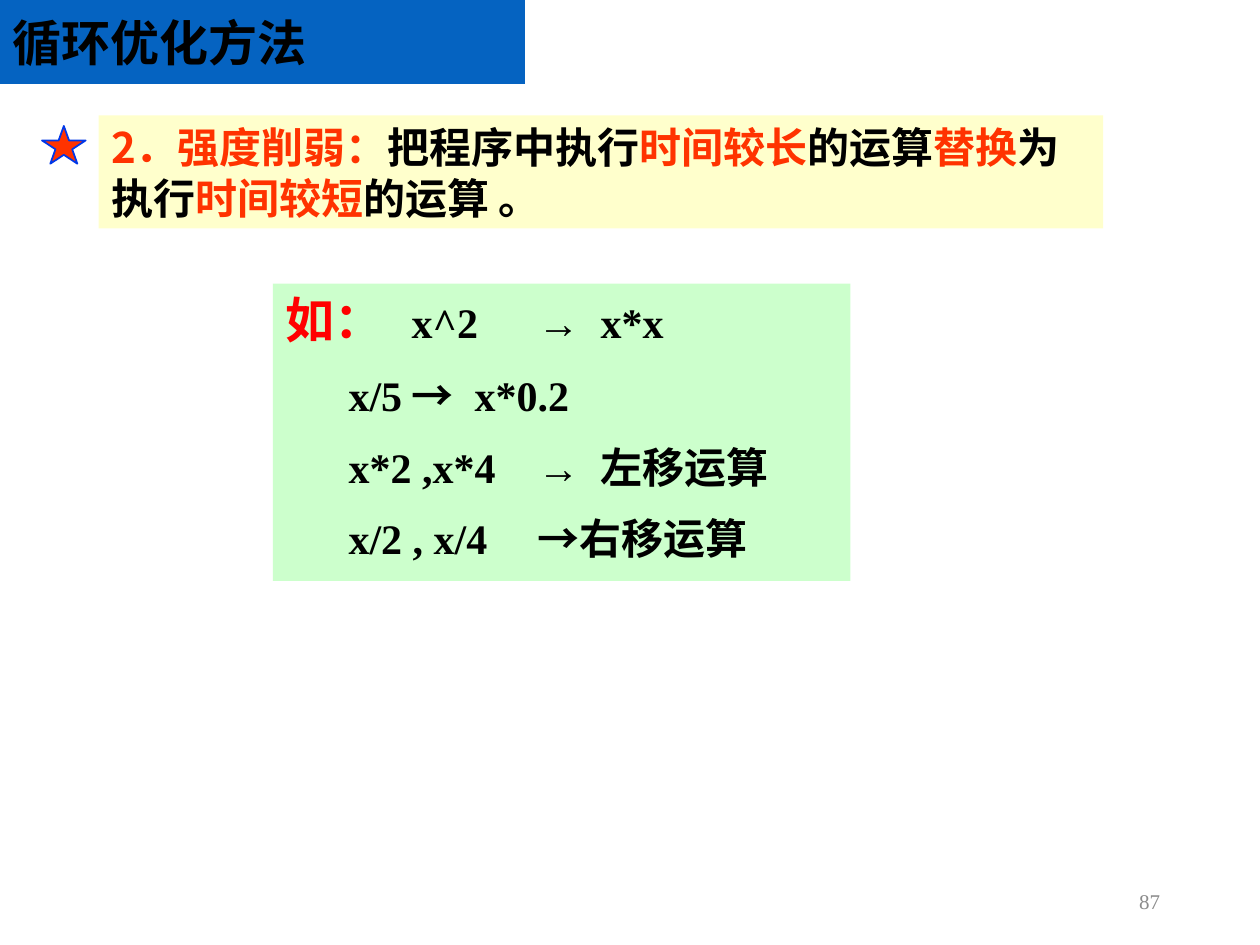
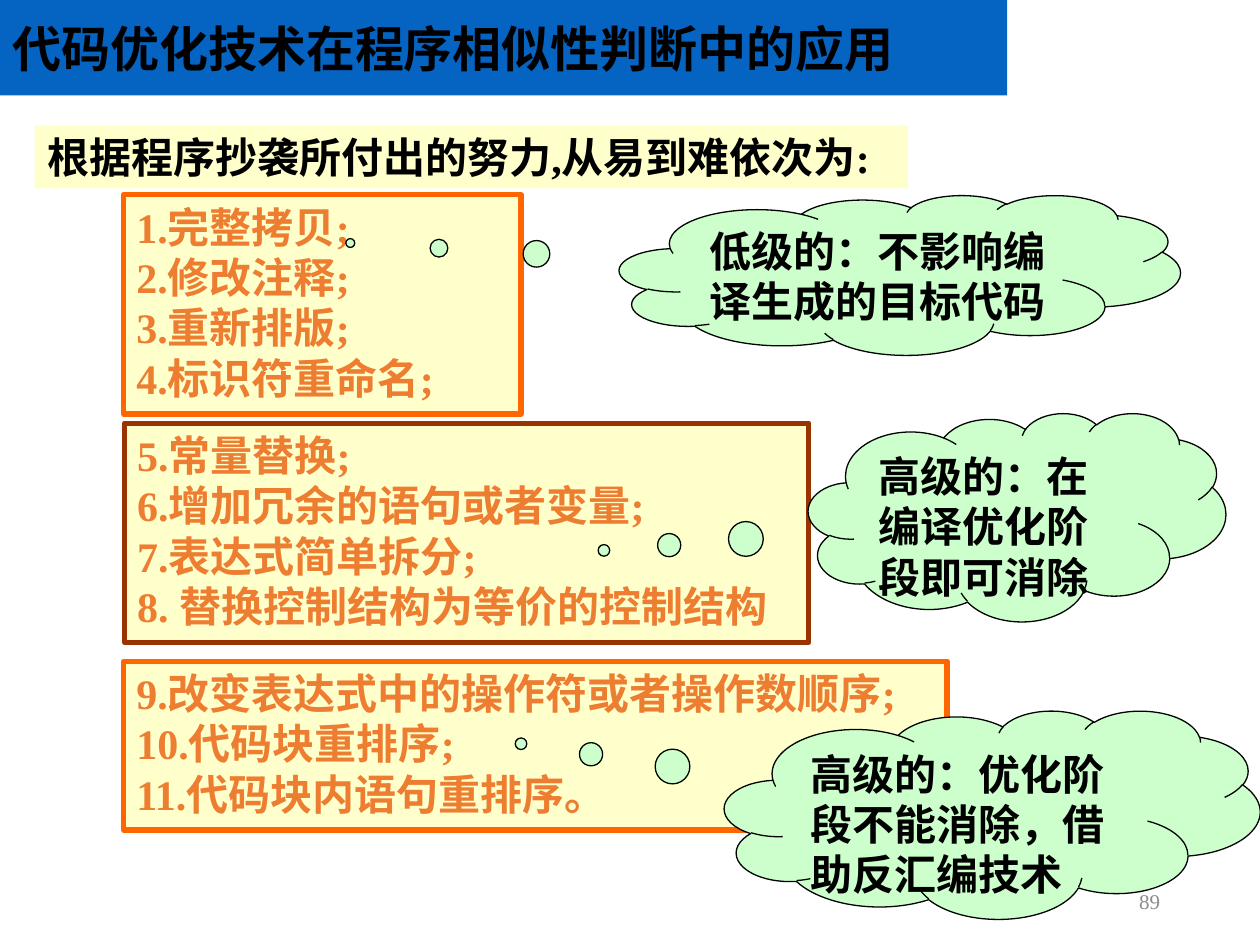
from lxml.etree import SubElement as Sub
from pptx import Presentation
from pptx.dml.color import RGBColor as RGB
from pptx.enum.shapes import MSO_SHAPE as Kind
from pptx.enum.text import MSO_ANCHOR as Anchor, MSO_AUTO_SIZE as Auto, PP_ALIGN as Align
from pptx.oxml.ns import qn
from pptx.util import Pt

HUES = {
    "band": "0563C1", "cream": "FFFFCC", "mint": "CCFFCC",
    "flame": "FF3300", "red": "FF0000", "star": "0037E8",
    "orange": "FF6600", "brown": "993300", "item": "ED7D31",
    "black": "000000", "gray": "8C8C8C",
}
SANS = "Noto Sans CJK SC"
SERIF = "Times New Roman"


def hue(name):
    return RGB.from_string(HUES[name])


class Deck:
    def __init__(self):
        self.prs = Presentation()
        self.prs.slide_width, self.prs.slide_height = Pt(720), Pt(540)

    def start(self, layout, title, width, height, number):
        self.slide = self.prs.slides.add_slide(self.prs.slide_layouts[layout])
        head = self.place(self.slide.shapes.title, (0, 0, width, height))
        geom = Sub(head._element.spPr, qn("a:prstGeom"), prst="roundRect")
        Sub(geom, qn("a:avLst"))
        self.paint(head, "band")
        self.label(head, [title], face=SANS, size=28, anchor=Anchor.MIDDLE)
        foot = self.slide.shapes.add_textbox(Pt(508), Pt(500.5), Pt(162), Pt(28.75))
        self.label(foot, [number], size=12, color="gray", bold=False,
                   anchor=Anchor.MIDDLE, align=Align.RIGHT)

    def place(self, shape, at):
        shape.left, shape.top, shape.width, shape.height = map(Pt, at)
        return shape

    def paint(self, shape, fill, line=None, weight=1):
        shape.fill.solid()
        shape.fill.fore_color.rgb = hue(fill)
        if line:
            shape.line.color.rgb = hue(line)
            shape.line.width = Pt(weight)
        else:
            shape.line.fill.background()

    def draw(self, kind, at, fill, line=None, weight=1):
        shape = self.slide.shapes.add_shape(kind, *map(Pt, at))
        shape.shadow.inherit = False
        self.paint(shape, fill, line, weight)
        return shape

    def body(self, idx, at, rows, fill, line=None, **style):
        shape = self.place(self.slide.placeholders[idx], at)
        self.paint(shape, fill, line, 3)
        self.label(shape, rows, **style)

    def cloud(self, at, tail, text):
        shape = self.draw(Kind.CLOUD_CALLOUT, at, "mint", "black", 0.75)
        shape.adjustments[0], shape.adjustments[1] = tail
        self.label(shape, [text])

    def label(self, shape, rows, face=SERIF, size=24, color="black", bold=True,
              anchor=Anchor.TOP, align=Align.LEFT, gap=0, stops=()):
        frame = shape.text_frame
        frame.word_wrap, frame.auto_size = True, Auto.NONE
        frame.vertical_anchor = anchor
        for i, row in enumerate(rows):
            para = frame.add_paragraph() if i else frame.paragraphs[0]
            para.alignment = align
            para.space_before = Pt(gap if i else 0)
            props = para._p.get_or_add_pPr()
            props.set("marL", "0")
            props.set("indent", "0")
            Sub(props, qn("a:buNone"))
            if stops:
                tabs = Sub(props, qn("a:tabLst"))
                for pos in stops[i]:
                    Sub(tabs, qn("a:tab"), pos=str(int(Pt(pos))), algn="l")
            font = para.font
            font.size, font.bold, font.name = Pt(size), bold, face
            font.color.rgb = hue(color)
            Sub(props.find(qn("a:defRPr")), qn("a:ea"), typeface=SANS)
            for part in [(row,)] if isinstance(row, str) else row:
                self.piece(para, *part)

    def piece(self, para, text, color=None, size=None, face=None):
        run = para.add_run()
        run.text = text
        if color:
            run.font.color.rgb = hue(color)
        if size:
            run.font.size = Pt(size)
        if face:
            run.font.name = face


def weaken(deck):
    deck.start(1, "循环优化方法", 300, 48, "87")
    deck.draw(Kind.STAR_5_POINT, (24, 72, 25, 21.6), "flame", "star")
    rule = deck.draw(Kind.RECTANGLE, (56.4, 66, 574, 64.6), "cream")
    deck.label(rule, [[
        ("2．强度削弱：", "flame"), ("把程序中执行",), ("时间较长", "flame"),
        ("的运算",), ("替换", "flame"), ("为执行",),
        ("时间较短", "flame"), ("的运算 。",)]], face=SANS)
    wide = ("→", None, None, SANS)
    deck.body(1, (156, 162, 330, 170), [
        [("如：", "red", 28), ("\tx^2\t→\tx*x",)],
        [("\tx/5\t",), wide, ("\tx*0.2",)],
        "\tx*2 ,x*4\t→\t左移运算",
        [("\tx/2 , x/4\t",), wide, ("右移运算",)],
    ], "mint", gap=12, stops=[(62, 175, 208), *[(54, 175, 215)] * 3])


def compare(deck):
    deck.start(4, "代码优化技术在程序相似性判断中的应用", 575.5, 54.6, "89")
    deck.body(1, (19.8, 71.6, 499, 36), ["根据程序抄袭所付出的努力,从易到难依次为:"], "cream")
    groups = [
        ((70.7, 111.3, 227, 125.3), "orange",
         ["1.完整拷贝;", "2.修改注释;", "3.重新排版;", "4.标识符重命名;"]),
        ((71.2, 241.8, 391, 125.3), "brown",
         ["5.常量替换;", "6.增加冗余的语句或者变量;", "7.表达式简单拆分;",
          "8. 替换控制结构为等价的控制结构"]),
        ((70.7, 377.8, 470.5, 96.5), "orange",
         ["9.改变表达式中的操作符或者操作数顺序;", "10.代码块重排序;",
          "11.代码块内语句重排序。"]),
    ]
    for idx, (at, line, rows) in enumerate(groups, 2):
        deck.body(idx, at, rows, "cream", line, color="item")
    deck.cloud((354, 111.5, 320.5, 91.3), (-0.98, -0.2), "低级的：不影响编译生成的目标代码")
    deck.cloud((462, 236, 238.5, 119), (-0.99, 0.16), "高级的：在编译优化阶段即可消除")
    deck.cloud((414, 406, 306, 119), (-0.88, -0.34), "高级的：优化阶段不能消除，借助反汇编技术")


def main():
    deck = Deck()
    weaken(deck)
    compare(deck)
    deck.prs.save("out.pptx")


if __name__ == "__main__":
    main()
